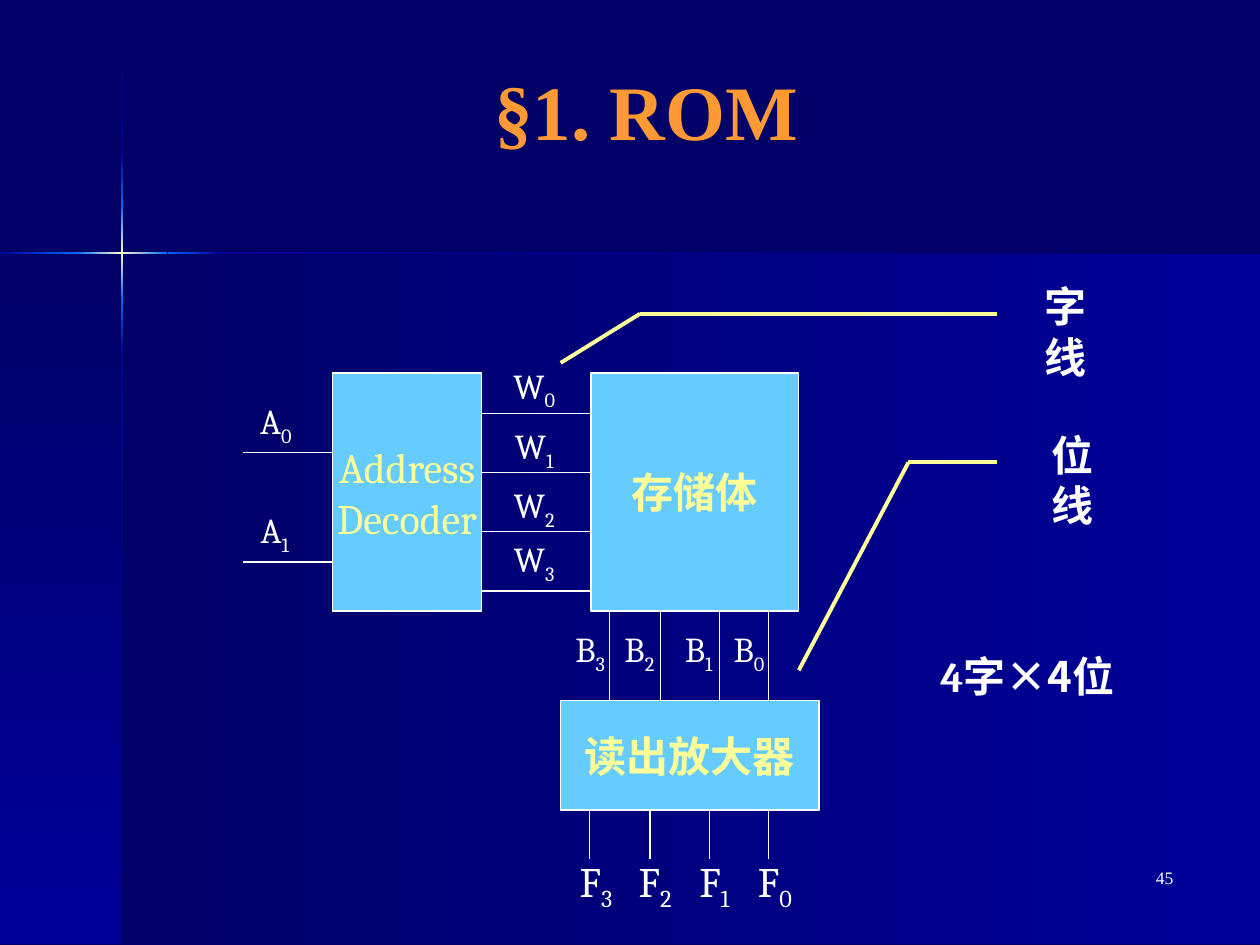
from copy import deepcopy
from pptx import Presentation
from pptx.util import Inches, Pt
from pptx.dml.color import RGBColor
from pptx.enum.shapes import MSO_SHAPE as Shape, MSO_CONNECTOR as Link
from pptx.enum.text import PP_ALIGN as Align, MSO_ANCHOR as Anchor, MSO_AUTO_SIZE as Fit
from pptx.oxml.ns import qn
from pptx.oxml.xmlchemy import OxmlElement

rgb = RGBColor.from_string
NAVY, BLUE, GLOW, CREAM = "000066", "000099", "0066FF", "FFFFCC"
WHITE, YELLOW, SKY = "FFFFFF", "FFFF99", "66CCFF"

deck = Presentation()
deck.slide_width, deck.slide_height = Inches(10), Inches(7.5)
slide = deck.slides.add_slide(deck.slide_layouts[5])
slide.background.fill.solid()
slide.background.fill.fore_color.rgb = rgb(NAVY)
shapes = slide.shapes


def style(shape, size, color, bold=False, font="Cambria", align=Align.CENTER):
    for para in shape.text_frame.paragraphs:
        para.alignment = align
        for run in para.runs:
            run.font.size, run.font.bold, run.font.name = Pt(size), bold, font
            run.font.color.rgb = rgb(color)


def wire(x1, y1, x2, y2, color=WHITE, width=0.75):
    line = shapes.add_connector(Link.STRAIGHT, *map(Inches, (x1, y1, x2, y2)))
    line.line.color.rgb = rgb(color)
    line.line.width = Pt(width)
    line._element.spPr.append(OxmlElement("a:effectLst"))


# Backdrop: two panels and a glowing cross; angle 0 runs right, 270 runs down
bands = [
    (0.97, 2.01, 9.03, 5.48, 0, (NAVY, BLUE)),
    (0, 2.01, 0.97, 5.48, 270, (NAVY, BLUE)),
    (0.96, 0, 0.02, 1.21, 270, (NAVY, BLUE)),
    (0.96, 2.81, 0.02, 4.68, 270, (BLUE, NAVY)),
    (1.77, 2, 8.23, 0.02, 0, (BLUE, NAVY)),
    (0.96, 2.37, 0.02, 0.44, 270, (GLOW, BLUE)),
    (0.96, 1.21, 0.02, 0.43, 270, (BLUE, GLOW)),
    (0.96, 1.64, 0.02, 0.73, 270, (GLOW, CREAM, GLOW)),
    (0, 2, 0.61, 0.02, 0, (BLUE, GLOW)),
    (1.33, 2, 0.44, 0.02, 0, (GLOW, BLUE)),
    (0.6, 2, 0.73, 0.02, 0, (GLOW, CREAM, GLOW)),
]
for x, y, w, h, angle, tones in bands:
    band = shapes.add_shape(Shape.RECTANGLE, *map(Inches, (x, y, w, h)))
    band.shadow.inherit = False
    band.line.fill.background()
    band.fill.gradient()
    band.fill.gradient_angle = angle
    stops = band._element.spPr.find(".//" + qn("a:gsLst"))
    if len(tones) == 3:
        stops.append(deepcopy(stops[0]))
    for i, (stop, tone) in enumerate(zip(band.fill.gradient_stops, tones)):
        stop.position = i / (len(tones) - 1)
        stop.color.rgb = rgb(tone)

# Title
title = shapes.title
title.left, title.top, title.width, title.height = map(Inches, (0.67, 0.33, 8.92, 1.08))
title.text_frame.text = "§1. ROM"
title.text_frame.vertical_anchor = Anchor.MIDDLE
style(title, 44, "FF9933", True, "Times New Roman")

# Blocks
for text, x, y, w, h, bold in [
    ("Address\nDecoder", 2.64, 2.96, 1.18, 1.89, False),
    ("存储体", 4.69, 2.96, 1.65, 1.89, True),
    ("读出放大器", 4.45, 5.56, 2.05, 0.87, True),
]:
    block = shapes.add_shape(Shape.RECTANGLE, *map(Inches, (x, y, w, h)))
    block.shadow.inherit = False
    block.fill.solid()
    block.fill.fore_color.rgb = rgb(SKY)
    block.line.color.rgb = rgb(WHITE)
    block.line.width = Pt(0.75)
    block.text_frame.text = text
    block.text_frame.word_wrap = False
    block.text_frame.vertical_anchor = Anchor.MIDDLE
    style(block, 24, YELLOW, bold)

# Address, word, bit and output wires
for y in (3.59, 4.46):
    wire(1.93, y, 2.64, y)
for i in range(4):
    y = 3.28 + 0.47 * i
    wire(3.82, y, 4.69, y)
for x in (4.84, 5.24, 5.71, 6.1):
    wire(x, 4.85, x, 5.56)
for x in (4.68, 5.16, 5.63, 6.1):
    wire(x, 6.43, x, 6.82)

# Signal names with subscripts
names = [("A", 0, 1.95, 3.12), ("A", 1, 1.94, 3.99)]
names += [("W", i, 3.95, y) for i, y in enumerate((2.84, 3.32, 3.79, 4.22))]
names += [("B", 3 - i, x, 4.93) for i, x in enumerate((4.45, 4.84, 5.31, 5.71))]
names += [("F", 3 - i, x, 6.74) for i, x in enumerate((4.48, 4.95, 5.42, 5.9))]
sizes = {"A": (0.48, 0.48, 20), "W": (0.58, 0.48, 20),
         "B": (0.47, 0.48, 20), "F": (0.5, 0.56, 24)}
for name, index, x, y in names:
    w, h, size = sizes[name]
    label = shapes.add_textbox(*map(Inches, (x, y, w, h)))
    frame = label.text_frame
    frame.text = name
    frame.word_wrap = False
    frame.auto_size = Fit.SHAPE_TO_FIT_TEXT
    sub = frame.paragraphs[0].add_run()
    sub.text = str(index)
    style(label, size, WHITE)
    sub._r.get_or_add_rPr().set("baseline", "-25000")

# Callout lines
for points in [
    ((4.45, 2.88), (5.08, 2.49), (7.91, 2.49)),
    ((6.34, 5.32), (7.21, 3.67), (7.91, 3.67)),
]:
    for start, end in zip(points, points[1:]):
        wire(*start, *end, YELLOW, 2.25)

# Callout texts and capacity
for text, x, y, w in [("字线", 8.03, 2.18, 0.86), ("位线", 8.08, 3.36, 0.86),
                      ("4字", 7.32, 5.11, 1.67)]:
    note = shapes.add_textbox(*map(Inches, (x, y, w, 0.5)))
    note.text_frame.text = text
    note.text_frame.word_wrap = text == "4字"
    note.text_frame.auto_size = Fit.SHAPE_TO_FIT_TEXT
    style(note, 24, WHITE, True)
rest = note.text_frame.paragraphs[0].add_run()
rest.text = "×4位"
style(note, 24, WHITE, True)
rest.font.name = "Noto Sans CJK SC"

# Page number
page = shapes.add_textbox(*map(Inches, (7.33, 6.83, 2.08, 0.5)))
page.text_frame.text = "45"
page.text_frame.word_wrap = True
style(page, 10, WHITE, font="Times New Roman", align=Align.RIGHT)

deck.save("out.pptx")
